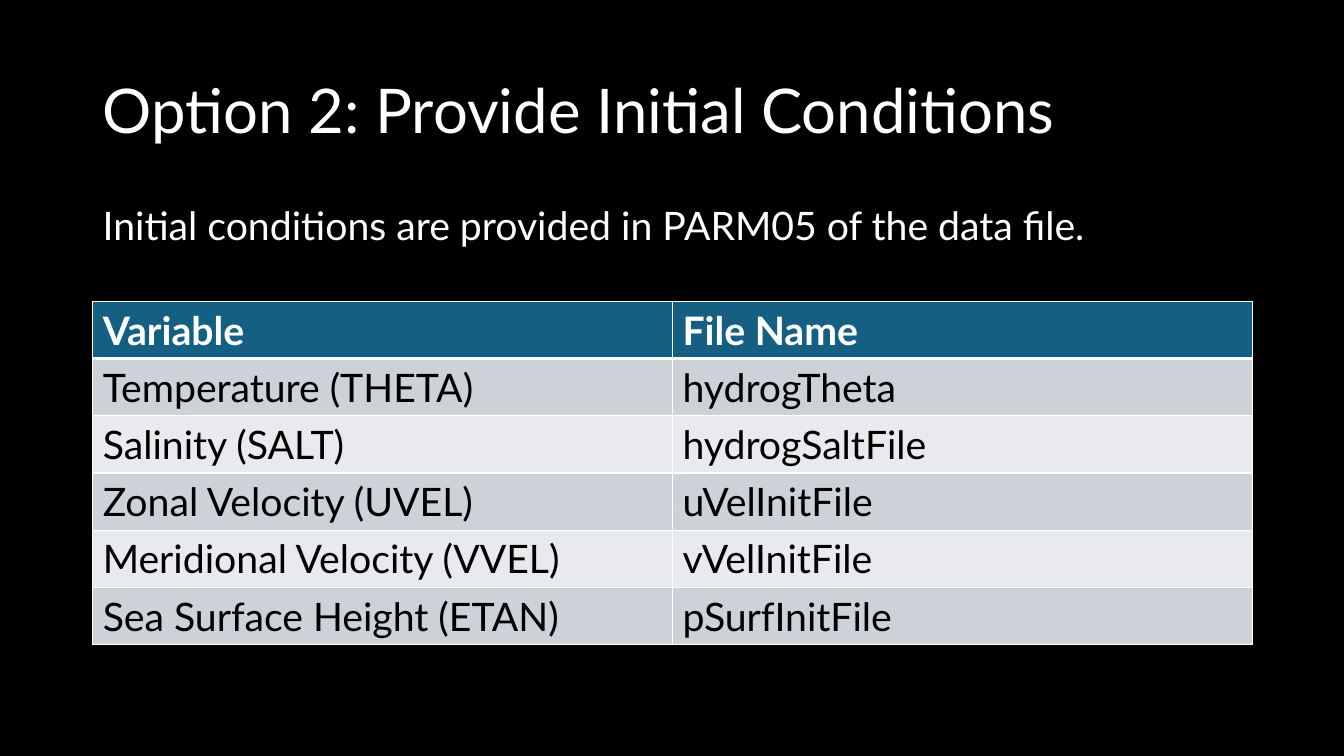
from lxml.etree import SubElement
from pptx import Presentation
from pptx.dml.color import RGBColor
from pptx.enum.text import MSO_ANCHOR
from pptx.oxml.ns import qn
from pptx.util import Inches, Pt

FONT = "Lato"
COLORS = {
    "background": "000000",
    "light_text": "FFFFFF",
    "dark_text": "000000",
    "border": "FFFFFF",
    "header": "156082",
    "odd_row": "CCD2D8",
    "even_row": "E8EAED",
}
LEFT, WIDTH = Inches(0.92), Inches(11.5)

INITIAL_CONDITIONS = [
    ("Variable", "File Name"),
    ("Temperature (THETA)", "hydrogTheta"),
    ("Salinity (SALT)", "hydrogSaltFile"),
    ("Zonal Velocity (UVEL)", "uVelInitFile"),
    ("Meridional Velocity (VVEL)", "vVelInitFile"),
    ("Sea Surface Height (ETAN)", "pSurfInitFile"),
]


def color(name):
    return RGBColor.from_string(COLORS[name])


def format_text(paragraph, size, color_name, bold=False):
    for run in paragraph.runs:
        run.font.name = FONT
        run.font.size = Pt(size)
        run.font.bold = bold
        run.font.color.rgb = color(color_name)


def add_text(slide, text, top, height, size, anchor=MSO_ANCHOR.TOP, space_before=0):
    shape = slide.shapes.add_textbox(LEFT, top, WIDTH, height)
    text_frame = shape.text_frame
    text_frame.text = text
    text_frame.word_wrap = True
    text_frame.vertical_anchor = anchor
    paragraph = text_frame.paragraphs[0]
    paragraph.line_spacing = 0.9
    paragraph.space_before = Pt(space_before)
    format_text(paragraph, size, "light_text")


def set_borders(cell, top, bottom):
    """Draw the four cell borders; widths are in points."""
    properties = cell._tc.get_or_add_tcPr()
    widths = {"a:lnL": 1, "a:lnR": 1, "a:lnT": top, "a:lnB": bottom}
    for position, (tag, width) in enumerate(widths.items()):
        line = SubElement(properties, qn(tag), w=str(Pt(width)))
        fill = SubElement(line, qn("a:solidFill"))
        SubElement(fill, qn("a:srgbClr"), val=COLORS["border"])
        # Borders must precede the cell fill
        properties.insert(position, line)


def add_conditions_table(slide, rows, top, height):
    table = slide.shapes.add_table(
        len(rows), len(rows[0]), LEFT, top, WIDTH, height
    ).table
    for row_index, row in enumerate(rows):
        is_header = row_index == 0
        if is_header:
            fill_name = "header"
        else:
            fill_name = "odd_row" if row_index % 2 else "even_row"
        for column_index, text in enumerate(row):
            cell = table.cell(row_index, column_index)
            cell.text_frame.text = text
            format_text(
                cell.text_frame.paragraphs[0],
                28,
                "light_text" if is_header else "dark_text",
                bold=is_header,
            )
            cell.fill.solid()
            cell.fill.fore_color.rgb = color(fill_name)
            # A thick rule separates the header from the body
            set_borders(
                cell,
                top=3 if row_index == 1 else 1,
                bottom=3 if is_header else 1,
            )


def main():
    presentation = Presentation()
    presentation.slide_width = Inches(13.33)
    presentation.slide_height = Inches(7.5)
    slide = presentation.slides.add_slide(presentation.slide_layouts[6])

    # Background
    slide.background.fill.solid()
    slide.background.fill.fore_color.rgb = color("background")

    # Title
    add_text(slide, "Option 2: Provide Initial Conditions",
             Inches(0.4), Inches(1.45), 44, anchor=MSO_ANCHOR.MIDDLE)

    # Variables and their files
    add_conditions_table(slide, INITIAL_CONDITIONS, Inches(2.99), Inches(3.4))

    # Introduction
    add_text(slide, "Initial conditions are provided in PARM05 of the data file.",
             Inches(2), Inches(0.81), 28, space_before=10)

    presentation.save("out.pptx")


if __name__ == "__main__":
    main()
